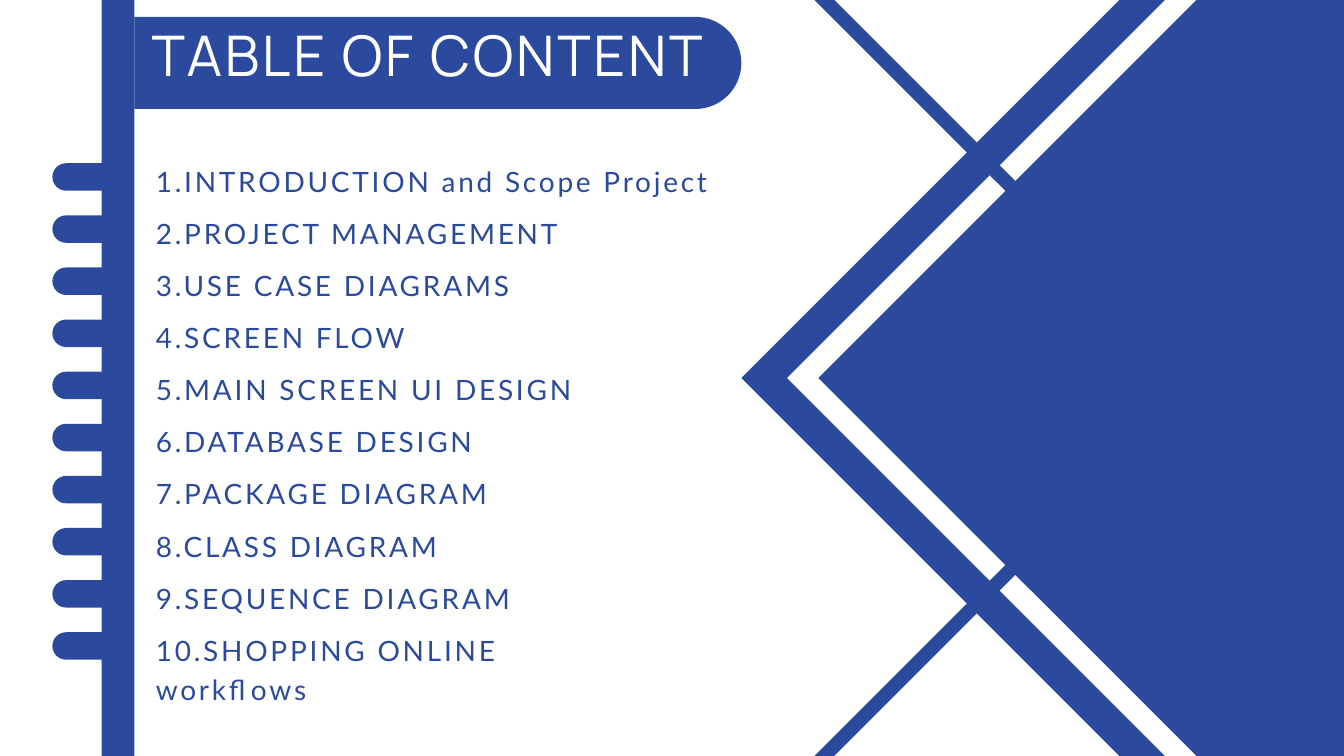
import dataclasses

import pptx
import pptx.dml.color
import pptx.enum.shapes
import pptx.enum.text
import pptx.util

Cm = pptx.util.Cm
Pt = pptx.util.Pt
Preset = pptx.enum.shapes.MSO_SHAPE
Align = pptx.enum.text.PP_ALIGN


@dataclasses.dataclass(frozen=True)
class TextStyle:
    font: str
    size: float
    leading: float
    color: str
    align: Align
    tracking: float = 3


@dataclasses.dataclass(frozen=True)
class Theme:
    blue: str = "2B4A9D"
    white: str = "FFFFFF"
    title: TextStyle = TextStyle("Manrope", 60, 63, "FFFFFF", Align.CENTER)
    entry: TextStyle = TextStyle("Lato", 30, 42, "2B4A9D", Align.LEFT)


THEME = Theme()
SLIDE_WIDTH, SLIDE_HEIGHT = 50.8, 28.58
MIDDLE = SLIDE_HEIGHT / 2
ROW_STEP = 1.97

ENTRIES = [
    "1.INTRODUCTION and Scope Project",
    "2.PROJECT MANAGEMENT",
    "3.USE CASE DIAGRAMS",
    "4.SCREEN FLOW",
    "5.MAIN SCREEN UI DESIGN",
    "6.DATABASE DESIGN",
    "7.PACKAGE DIAGRAM",
    "8.CLASS DIAGRAM",
    "9.SEQUENCE DIAGRAM",
    "10.SHOPPING ONLINE workflows",
]


def add_solid(slide, preset, left, top, width, height, color, rotation=0):
    solid = slide.shapes.add_shape(preset, Cm(left), Cm(top), Cm(width), Cm(height))
    solid.shadow.inherit = False
    solid.fill.solid()
    solid.fill.fore_color.rgb = pptx.dml.color.RGBColor.from_string(color)
    solid.line.fill.background()
    solid.rotation = rotation
    return solid


def add_tilted_square(slide, center_x, center_y, side, color, border=None):
    """Square standing on its corner; with a border it is a hollow frame."""
    preset = Preset.FRAME if border else Preset.RECTANGLE
    square = add_solid(slide, preset, center_x - side / 2, center_y - side / 2,
                       side, side, color, 45)
    if border:
        square.adjustments[0] = border / side


def add_tab(slide, left, top, length, thickness, rotation):
    """Horizontal bar with one round end: right at 90 degrees, left at 270."""
    shift = (length - thickness) / 2
    tab = add_solid(slide, Preset.ROUND_2_SAME_RECTANGLE, left + shift, top - shift,
                    thickness, length, THEME.blue, rotation)
    tab.adjustments[0] = 0.5
    tab.adjustments[1] = 0


def add_label(slide, text, left, top, width, height, style):
    label = slide.shapes.add_textbox(Cm(left), Cm(top), Cm(width), Cm(height))
    frame = label.text_frame
    frame.word_wrap = True
    frame.auto_size = pptx.enum.text.MSO_AUTO_SIZE.SHAPE_TO_FIT_TEXT
    frame.margin_left = frame.margin_right = frame.margin_top = frame.margin_bottom = 0
    paragraph = frame.paragraphs[0]
    paragraph.alignment = style.align
    paragraph.line_spacing = Pt(style.leading)
    run = paragraph.add_run()
    run.text = text
    run.font.name = style.font
    run.font.size = Pt(style.size)
    run.font.color.rgb = pptx.dml.color.RGBColor.from_string(style.color)
    run._r.get_or_add_rPr().set("spc", str(round(style.tracking * 100)))


def add_diamond_art(slide):
    add_tilted_square(slide, 48.01, MIDDLE, 28.27, THEME.blue)
    add_tilted_square(slide, 48.2, MIDDLE, 26.09, THEME.white, border=0.83)
    for offset in (16.62, -16.62):
        add_tilted_square(slide, 40.56, MIDDLE + offset, 17.12, THEME.blue, border=0.53)


def add_contents(slide):
    for row, entry in enumerate(ENTRIES):
        drop = row * ROW_STEP
        width = 17.42 if entry == ENTRIES[-1] else 39
        add_tab(slide, 1.98, 6.17 + drop, 2.49, 1.04, 270)
        add_label(slide, entry, 5.89, 6 + drop, width, 1.45, THEME.entry)


def main():
    deck = pptx.Presentation()
    deck.slide_width, deck.slide_height = Cm(SLIDE_WIDTH), Cm(SLIDE_HEIGHT)
    slide = deck.slides.add_slide(deck.slide_layouts[6])

    add_solid(slide, Preset.RECTANGLE, 3.84, 0, 1.24, SLIDE_HEIGHT, THEME.blue)
    add_diamond_art(slide)
    add_tab(slide, 5.08, 0.64, 22.94, 3.48, 90)
    add_label(slide, "TABLE OF CONTENT", 3.84, 1.09, 24.64, 2.49, THEME.title)
    add_contents(slide)

    deck.save("out.pptx")


if __name__ == "__main__":
    main()
